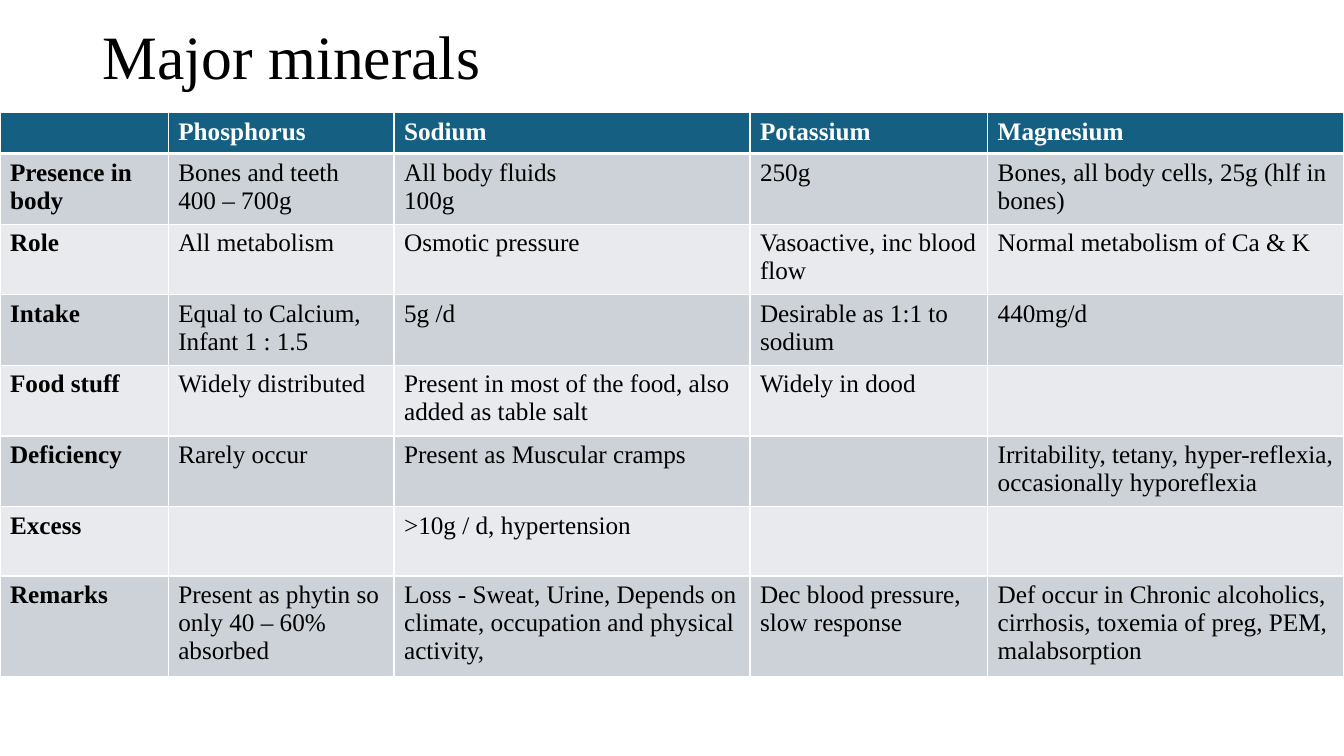
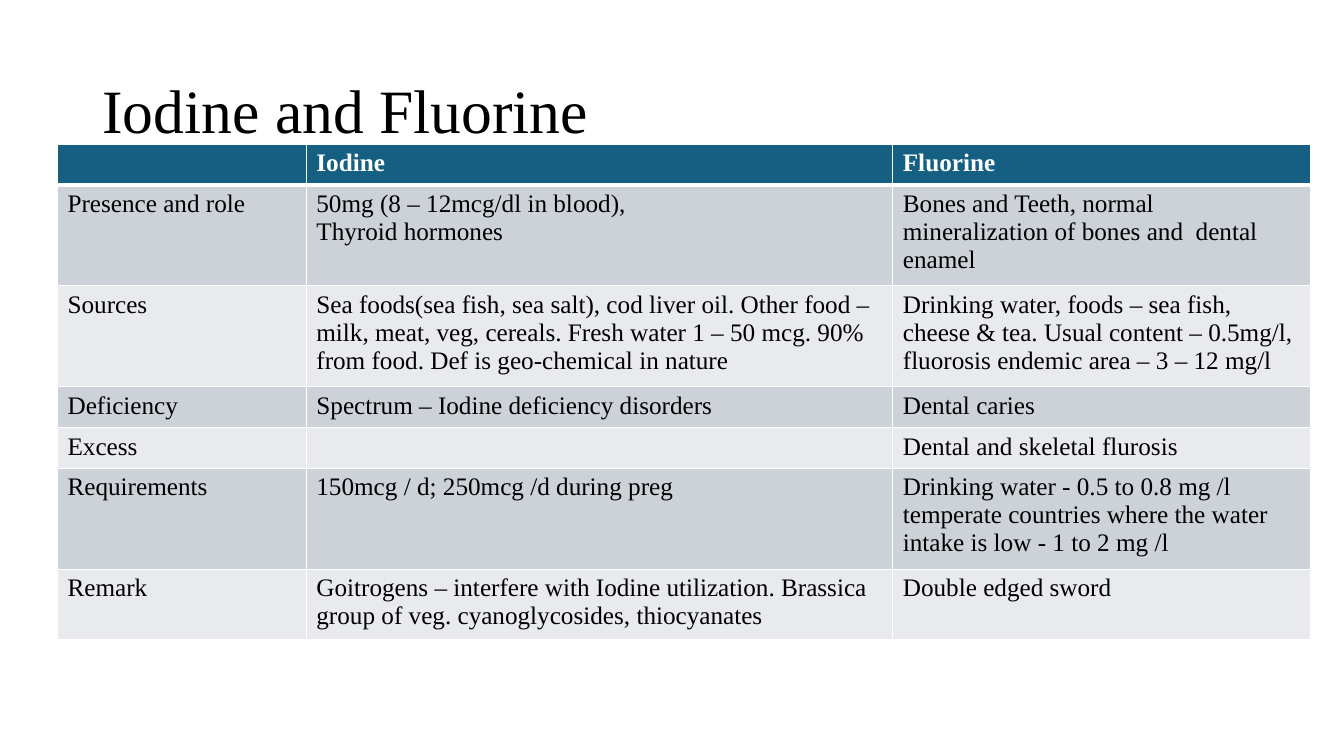
"""Build two slides of mineral comparison tables."""
from lxml.etree import SubElement
from pptx import Presentation
from pptx.dml.color import RGBColor
from pptx.enum.text import MSO_ANCHOR
from pptx.oxml.ns import qn
from pptx.util import Cm, Pt

FONT = "Times New Roman"
BLACK = RGBColor(0x00, 0x00, 0x00)
WHITE = RGBColor(0xFF, 0xFF, 0xFF)
HEADER = RGBColor(0x15, 0x60, 0x82)
BANDS = (RGBColor(0xE8, 0xEA, 0xED), RGBColor(0xCC, 0xD2, 0xD8))

SLIDES = [
    {
        "title": "Major minerals",
        "title_top": -0.33,
        "at": (0, 2.84),
        "widths": (4.24, 5.69, 8.97, 5.99, 8.97),
        "heights": (1.03, 1.67, 1.67, 1.67, 1.67, 1.67, 1.75, 2.36),
        "bold_labels": True,
        "rows": [
            ("", "Phosphorus", "Sodium", "Potassium", "Magnesium"),
            ("Presence in body", "Bones and teeth\n400 – 700g", "All body fluids\n100g", "250g",
             "Bones, all body cells, 25g (hlf in bones)"),
            ("Role", "All metabolism", "Osmotic pressure", "Vasoactive, inc blood flow",
             "Normal metabolism of Ca & K"),
            ("Intake", "Equal to Calcium,\nInfant 1 : 1.5", "5g /d",
             "Desirable as 1:1 to sodium", "440mg/d"),
            ("Food stuff", "Widely distributed",
             "Present in most of the food, also added as table salt", "Widely in dood", ""),
            ("Deficiency", "Rarely occur", "Present as Muscular cramps", "",
             "Irritability, tetany, hyper-reflexia, occasionally hyporeflexia"),
            ("Excess", "", ">10g / d, hypertension", "", ""),
            ("Remarks", "Present as phytin so only 40 – 60% absorbed",
             "Loss - Sweat, Urine, Depends on climate, occupation and physical activity,",
             "Dec blood pressure, slow response",
             "Def occur in Chronic alcoholics, cirrhosis, toxemia of preg, PEM, malabsorption"),
        ],
    },
    {
        "title": "Iodine and Fluorine",
        "title_top": 1.02,
        "at": (1.45, 3.63),
        "widths": (6.27, 14.78, 10.52),
        "heights": (1.03, 2.36, 2.36, 1.03, 1.03, 2.36, 1.67),
        "bold_labels": False,
        "rows": [
            ("", "Iodine", "Fluorine"),
            ("Presence and role", "50mg (8 – 12mcg/dl in blood),\nThyroid hormones",
             "Bones and Teeth, normal mineralization of bones and  dental enamel"),
            ("Sources",
             "Sea foods(sea fish, sea salt), cod liver oil. Other food – milk, meat, veg, cereals. "
             "Fresh water 1 – 50 mcg. 90% from food. Def is geo-chemical in nature",
             "Drinking water, foods – sea fish, cheese & tea. Usual content – 0.5mg/l, "
             "fluorosis endemic area – 3 – 12 mg/l"),
            ("Deficiency", "Spectrum – Iodine deficiency disorders", "Dental caries"),
            ("Excess", "", "Dental and skeletal flurosis"),
            ("Requirements", "150mcg / d; 250mcg /d during preg",
             "Drinking water - 0.5 to 0.8 mg /l\n"
             "temperate countries where the water intake is low - 1 to 2 mg /l"),
            ("Remark",
             "Goitrogens – interfere with Iodine utilization. Brassica group of veg. "
             "cyanoglycosides, thiocyanates",
             "Double edged sword"),
        ],
    },
]


def style_runs(tf, size, color, bold=False):
    for p in tf.paragraphs:
        for r in p.runs:
            r.font.name = FONT
            r.font.size = Pt(size)
            r.font.bold = bold
            r.font.color.rgb = color


def set_borders(cell, top, bottom):
    tc_pr = cell._tc.get_or_add_tcPr()
    for side, width in (("L", 1), ("R", 1), ("T", top), ("B", bottom)):
        ln = SubElement(tc_pr, qn(f"a:ln{side}"), w=str(Pt(width)))
        fill = SubElement(ln, qn("a:solidFill"))
        SubElement(fill, qn("a:srgbClr"), val=str(WHITE))


def add_title(s, text, top):
    tf = s.shapes.add_textbox(Cm(2.33), Cm(top), Cm(29.21), Cm(3.68)).text_frame
    tf.word_wrap = True
    tf.vertical_anchor = MSO_ANCHOR.MIDDLE
    tf.text = text
    tf.paragraphs[0].line_spacing = 0.9
    style_runs(tf, 44, BLACK)


def add_mineral_table(s, rows, at, widths, heights, bold_labels):
    left, top = at
    table = s.shapes.add_table(len(rows), len(widths), Cm(left), Cm(top),
                               Cm(sum(widths)), Cm(sum(heights))).table
    for column, width in zip(table.columns, widths):
        column.width = Cm(width)
    for i, (row, height) in enumerate(zip(rows, heights)):
        table.rows[i].height = Cm(height)
        is_header = i == 0
        for j, text in enumerate(row):
            cell = table.cell(i, j)
            cell.text = text
            set_borders(cell, 3 if i == 1 else 1, 3 if is_header else 1)
            cell.fill.solid()
            cell.fill.fore_color.rgb = HEADER if is_header else BANDS[i % 2]
            style_runs(cell.text_frame, 18, WHITE if is_header else BLACK,
                       is_header or (bold_labels and j == 0))


def main():
    prs = Presentation()
    prs.slide_width, prs.slide_height = Cm(33.87), Cm(19.05)
    for data in SLIDES:
        s = prs.slides.add_slide(prs.slide_layouts[6])
        add_title(s, data["title"], data["title_top"])
        add_mineral_table(s, data["rows"], data["at"], data["widths"],
                          data["heights"], data["bold_labels"])
    prs.save("out.pptx")


if __name__ == "__main__":
    main()
